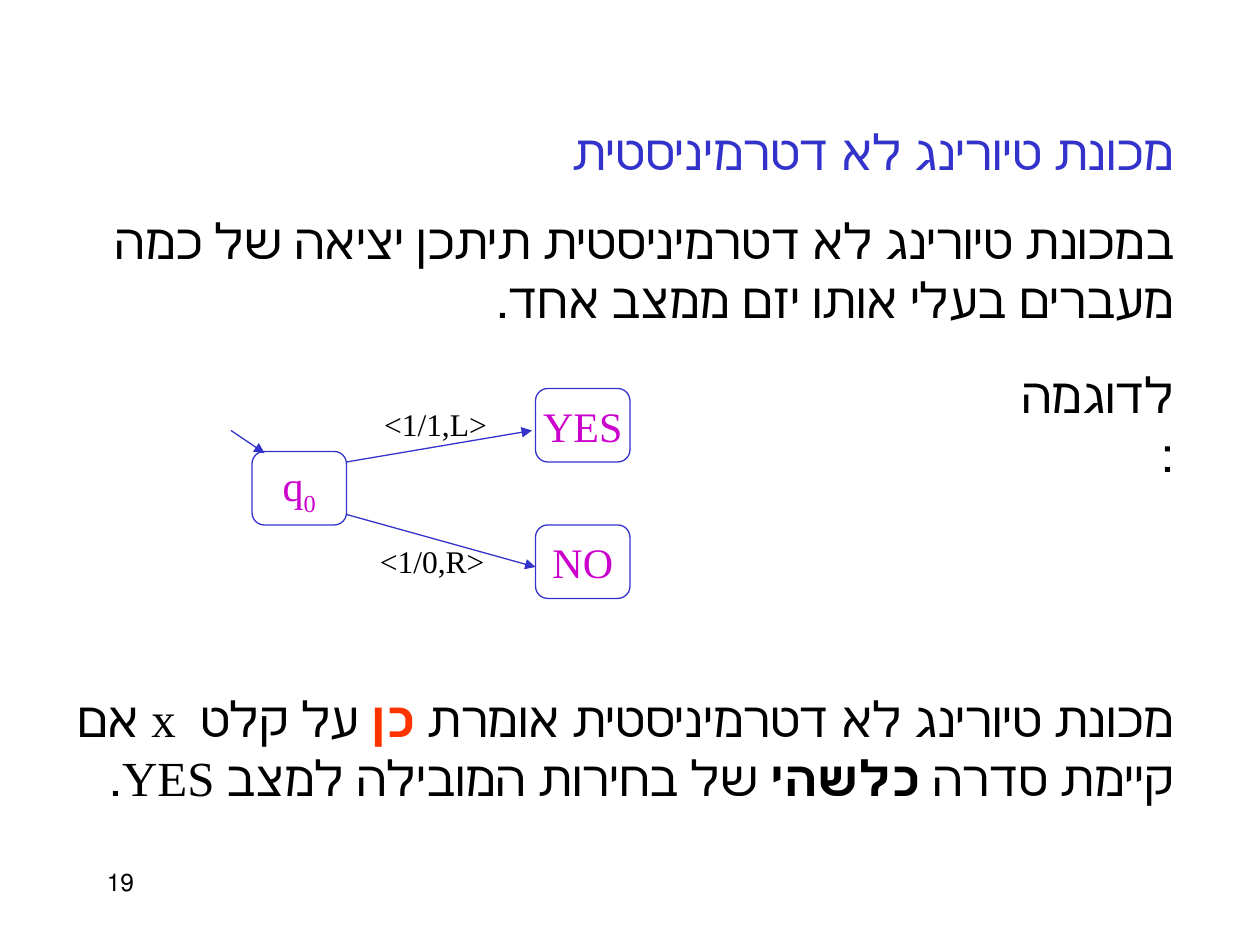
from lxml import etree
from pptx import Presentation
from pptx.dml.color import RGBColor
from pptx.enum.shapes import MSO_CONNECTOR, MSO_SHAPE
from pptx.enum.text import MSO_ANCHOR, PP_ALIGN
from pptx.oxml.ns import qn
from pptx.util import Pt

LEFT, CENTER, RIGHT = PP_ALIGN.LEFT, PP_ALIGN.CENTER, PP_ALIGN.RIGHT
MIDDLE = MSO_ANCHOR.MIDDLE
ROUNDED = MSO_SHAPE.ROUNDED_RECTANGLE
STRAIGHT = MSO_CONNECTOR.STRAIGHT

FONT = "Times New Roman"
BLUE, BLACK, MAGENTA, RED, WHITE = "3333CC", "000000", "CC00CC", "FF3300", "FFFFFF"

BODY = {"size": 28, "color": BLACK}
TITLE = {"size": 28, "color": BLUE}
STRONG = {**BODY, "bold": True}
ANSWER = {**STRONG, "color": RED}
STATE = {"size": 24, "color": MAGENTA}
SUBSCRIPT = {**STATE, "baseline": -25000}
LABEL = {"size": 18, "color": BLACK}
LABEL_END = {"size": 24, "color": BLACK}
NUMBER = {"size": 14, "color": BLACK}

HEBREW = {"alignment": RIGHT, "space_before": Pt(17.5)}
LATIN = {"alignment": LEFT, "space_before": Pt(15)}

TEXTS = [
    ((24, 66, 654, 41), HEBREW, True, [("מכונת טיורינג לא דטרמיניסטית", TITLE)]),
    ((24, 117, 654, 75), HEBREW, True, [
        ("במכונת טיורינג לא דטרמיניסטית תיתכן יציאה של כמה מעברים בעלי אותו יזם ממצב אחד.", BODY)]),
    ((570, 205, 108, 75), HEBREW, True, [("לדוגמה:", BODY)]),
    ((24, 390, 654, 108), HEBREW, True, [
        ("מכונת טיורינג לא דטרמיניסטית אומרת ", BODY),
        ("כן", ANSWER),
        (" על קלט  x אם קיימת סדרה ", BODY),
        ("כלשהי", STRONG),
        (" של בחירות המובילה למצב YES.", BODY)]),
    ((212.4, 222, 88, 36), LATIN, False, [("<1/1,L>", LABEL), (" ", LABEL_END)]),
    ((210, 300, 88, 36), LATIN, False, [("<1/0,R>", LABEL), (" ", LABEL_END)]),
    ((54, 492, 150, 36), {"alignment": LEFT}, True, [("19", NUMBER)]),
]

STATE_SIZE = (54, 42)
STATES = [
    ((144, 258), [("q", STATE), ("0", SUBSCRIPT)]),
    ((306, 222), [("YES", STATE)]),
    ((306, 300), [("NO", STATE)]),
]

ARROWS = [
    ((132, 246), (151.2, 259)),
    ((198, 264), (304, 246)),
    ((198, 294), (306, 324)),
]


def rgb(value):
    return RGBColor.from_string(value)


def points(values):
    return [Pt(value) for value in values]


def write(shape, runs, paragraph_format, right_to_left):
    paragraph = shape.text_frame.paragraphs[0]
    for name, value in paragraph_format.items():
        setattr(paragraph, name, value)
    if right_to_left:
        paragraph._p.get_or_add_pPr().set("rtl", "1")
    for text, style in runs:
        run = paragraph.add_run()
        run.text = text
        font = run.font
        font.name = FONT
        font.size = Pt(style["size"])
        font.bold = style.get("bold", False)
        font.color.rgb = rgb(style["color"])
        if "baseline" in style:
            run._r.get_or_add_rPr().set("baseline", str(style["baseline"]))


def add_state(slide, position, runs):
    shape = slide.shapes.add_shape(ROUNDED, *points(position + STATE_SIZE))
    shape.shadow.inherit = False
    shape.fill.solid()
    shape.fill.fore_color.rgb = rgb(WHITE)
    shape.line.color.rgb = rgb(BLUE)
    shape.line.width = Pt(0.75)
    shape.text_frame.word_wrap = False
    shape.text_frame.vertical_anchor = MIDDLE
    write(shape, runs, {"alignment": CENTER}, True)


def add_arrow(slide, start, end):
    connector = slide.shapes.add_connector(STRAIGHT, *points(start + end))
    connector.line.color.rgb = rgb(BLUE)
    connector.line.width = Pt(0.75)
    etree.SubElement(connector.line._get_or_add_ln(), qn("a:tailEnd"), type="triangle")
    etree.SubElement(connector._element.spPr, qn("a:effectLst"))


def main():
    presentation = Presentation()
    presentation.slide_width, presentation.slide_height = Pt(720), Pt(540)
    slide = presentation.slides.add_slide(presentation.slide_layouts[6])
    for position, runs in STATES:
        add_state(slide, position, runs)
    for start, end in ARROWS:
        add_arrow(slide, start, end)
    for box, paragraph_format, right_to_left, runs in TEXTS:
        shape = slide.shapes.add_textbox(*points(box))
        shape.text_frame.word_wrap = True
        write(shape, runs, paragraph_format, right_to_left)
    presentation.save("out.pptx")


if __name__ == "__main__":
    main()
